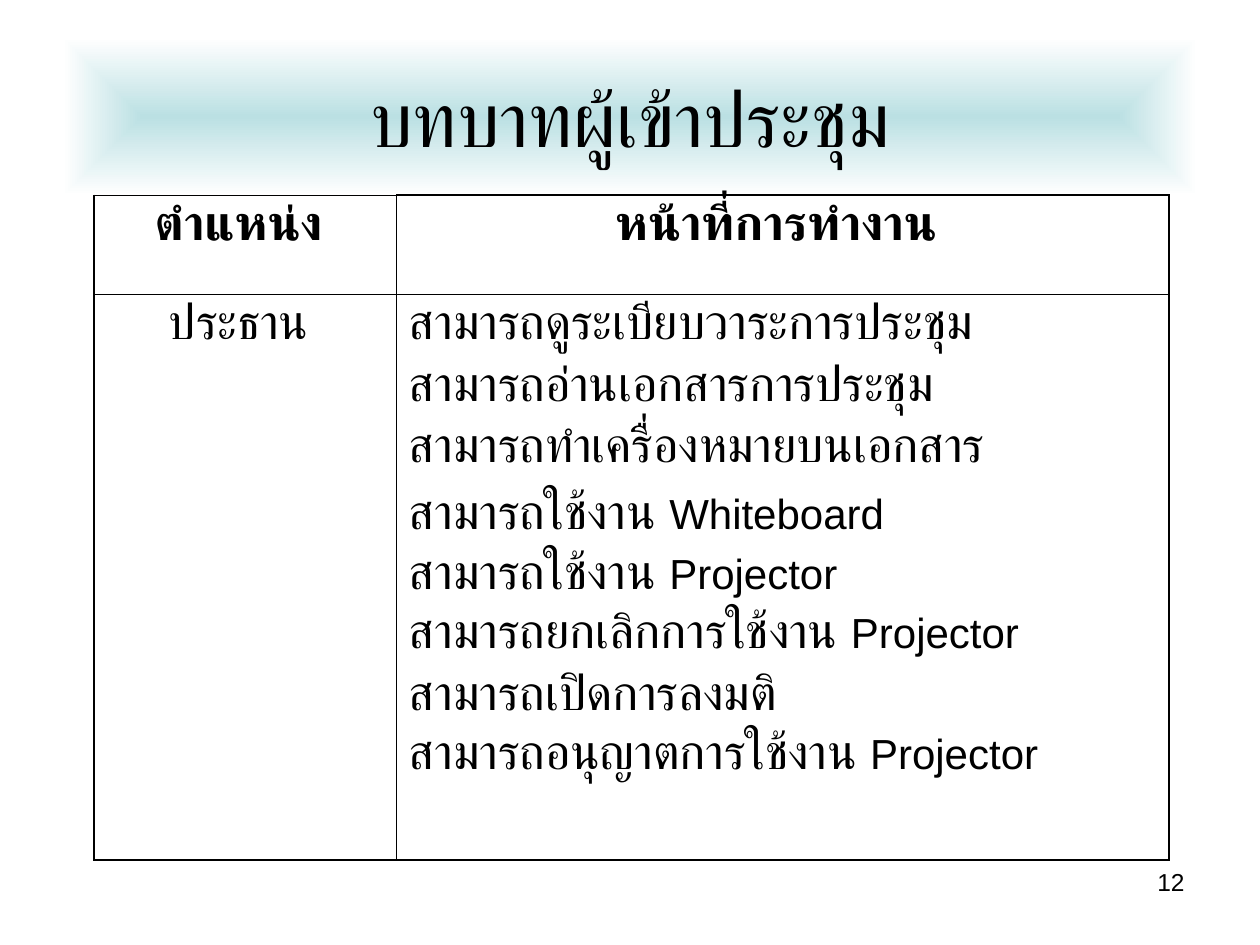
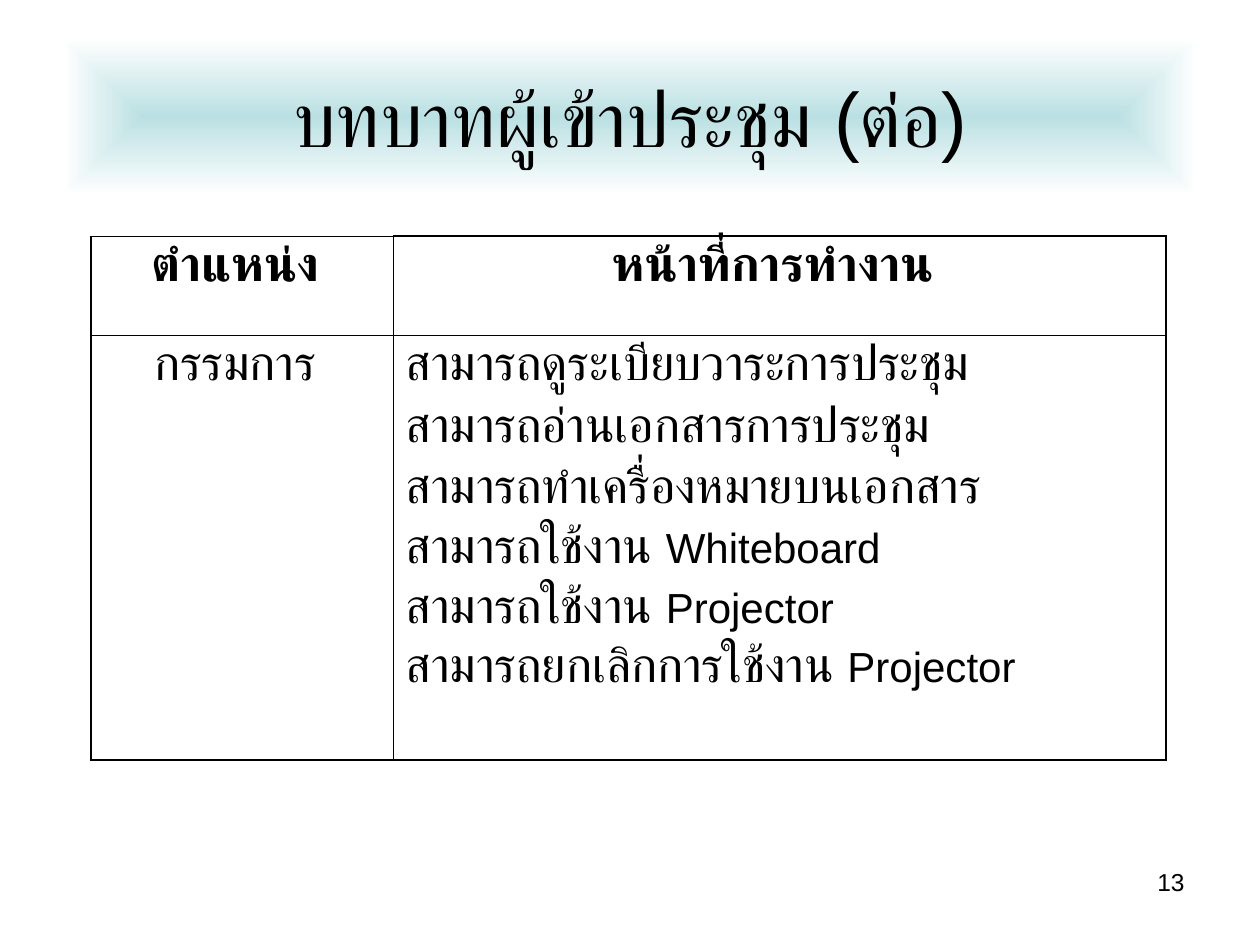
from dataclasses import dataclass

from lxml.etree import SubElement
from pptx import Presentation
from pptx.dml.color import RGBColor
from pptx.enum.text import MSO_ANCHOR, MSO_AUTO_SIZE, PP_ALIGN
from pptx.oxml import parse_xml
from pptx.oxml.ns import nsdecls, qn
from pptx.util import Cm, Pt


@dataclass(frozen=True)
class Theme:
    font: str = "Arial"
    ink: str = "000000"
    band: str = "BBE0E3"
    paper: str = "FFFFFF"
    title: int = 44
    thai: int = 28
    english: int = 24
    number: int = 14
    tight_lines: float = 0.9
    outer_line: float = 1.08
    inner_line: float = 0.45


theme = Theme()


def add_span(para, text, size, bold=False):
    span = para.add_run()
    span.text = text
    span.font.size = Pt(size)
    span.font.bold = bold
    span.font.name = theme.font
    span.font.color.rgb = RGBColor.from_string(theme.ink)
    # Thai letters take the complex-script font
    SubElement(span.font._element, qn("a:cs"), typeface=theme.font)


def add_border(cell, side, width):
    cell._tc.get_or_add_tcPr().append(parse_xml(
        f'<a:{side} {nsdecls("a")} w="{Pt(width)}"><a:solidFill>'
        f'<a:srgbClr val="{theme.ink}"/></a:solidFill></a:{side}>'))


# Content: each duty is a tuple of spans
headings = ["ตำแหน่ง ", "หน้าที่การทำงาน "]
reading_duties = [
    ("สามารถดูระเบียบวาระการประชุม",),
    ("สามารถอ่านเอกสารการประชุม",),
    ("สามารถทำเครื่องหมายบนเอกสาร",),
]
projector_duties = [
    ("สามารถใช้งาน ", "Projector"),
    ("สามารถยกเลิกการใช้งาน ", "Projector"),
]
chair_duties = [
    *reading_duties,
    ("สามารถใช้งาน ", "Whiteboard", " "),
    *projector_duties,
    ("สามารถเปิดการลงมติ",),
    ("สามารถอนุญาตการใช้งาน ", "Projector"),
]
member_duties = [
    *reading_duties,
    ("สามารถใช้งาน ", "Whiteboard"),
    *projector_duties,
]

# Number, title, role, duties, table left and top, height of the duties row
pages = [
    (12, "บทบาทผู้เข้าประชุม", "ประธาน ", chair_duties, 1.9, 3.93, 11.4),
    (13, "บทบาทผู้เข้าประชุม (ต่อ)", "กรรมการ ", member_duties, 1.83, 4.76, 8.56),
]
column_widths = [Cm(6.09), Cm(15.58)]
heading_height = Cm(2)

deck = Presentation()
deck.slide_width, deck.slide_height = Cm(25.4), Cm(19.05)
title_only = deck.slide_layouts[5]

for number, title, role, duties, left, top, duties_height in pages:
    page = deck.slides.add_slide(title_only)

    # Title on a band that fades outwards
    band = page.shapes.title
    band.left, band.top, band.width, band.height = Cm(1.27), Cm(0.76), Cm(22.86), Cm(3.18)
    band.fill.background()
    fill = band._element.spPr.find(qn("a:noFill"))
    fill.getparent().replace(fill, parse_xml(
        f'<a:gradFill {nsdecls("a")} rotWithShape="1"><a:gsLst>'
        f'<a:gs pos="0"><a:srgbClr val="{theme.band}"/></a:gs>'
        f'<a:gs pos="100000"><a:srgbClr val="{theme.paper}"/></a:gs></a:gsLst>'
        '<a:path path="rect"><a:fillToRect l="50000" t="50000" r="50000" b="50000"/>'
        '</a:path></a:gradFill>'))
    frame = band.text_frame
    frame.auto_size = MSO_AUTO_SIZE.NONE
    frame.vertical_anchor = MSO_ANCHOR.MIDDLE
    para = frame.paragraphs[0]
    para.alignment = PP_ALIGN.CENTER
    add_span(para, title, theme.title)

    # Table frame
    row_heights = [heading_height, Cm(duties_height)]
    table = page.shapes.add_table(2, 2, Cm(left), Cm(top),
                                  sum(column_widths), sum(row_heights)).table
    table.first_row = table.horz_banding = False
    for column, width in zip(table.columns, column_widths):
        column.width = width
    for row, height in zip(table.rows, row_heights):
        row.height = height

    # Heavy outer edge, thin inner lines and a thin top over the first heading
    for r in range(2):
        for c in range(2):
            cell = table.cell(r, c)
            heavy_sides = {"lnL": c == 0, "lnR": c == 1,
                           "lnT": r == 0 and c == 1, "lnB": r == 1}
            for side, heavy in heavy_sides.items():
                add_border(cell, side, theme.outer_line if heavy else theme.inner_line)
            cell.fill.background()

    # Headings and role
    centred = [(0, 0, headings[0]), (0, 1, headings[1]), (1, 0, role)]
    for r, c, text in centred:
        para = table.cell(r, c).text_frame.paragraphs[0]
        para.alignment = PP_ALIGN.CENTER
        para.line_spacing = theme.tight_lines
        add_span(para, text, theme.thai, bold=r == 0)

    # Duties: a line closed by a space keeps its full height
    frame = table.cell(1, 1).text_frame
    for index, spans in enumerate(duties):
        para = frame.paragraphs[0] if index == 0 else frame.add_paragraph()
        properties = para._p.get_or_add_pPr()
        properties.set("marL", str(Cm(1.48)))
        properties.set("indent", str(-Cm(1.48)))
        para.line_spacing = 1.0 if spans[-1] == " " else theme.tight_lines
        if index:
            para.space_before = Pt(6 if spans[-1].isalpha() and spans[-1].isascii() else 7)
        for text in spans:
            is_english = text.isascii() and text.isalpha()
            add_span(para, text, theme.english if is_english else theme.thai)

    # Page number
    box = page.shapes.add_textbox(Cm(18.2), Cm(17.35), Cm(5.93), Cm(1.32))
    box.text_frame.word_wrap = True
    para = box.text_frame.paragraphs[0]
    para.alignment = PP_ALIGN.RIGHT
    add_span(para, str(number), theme.number)

deck.save("out.pptx")
